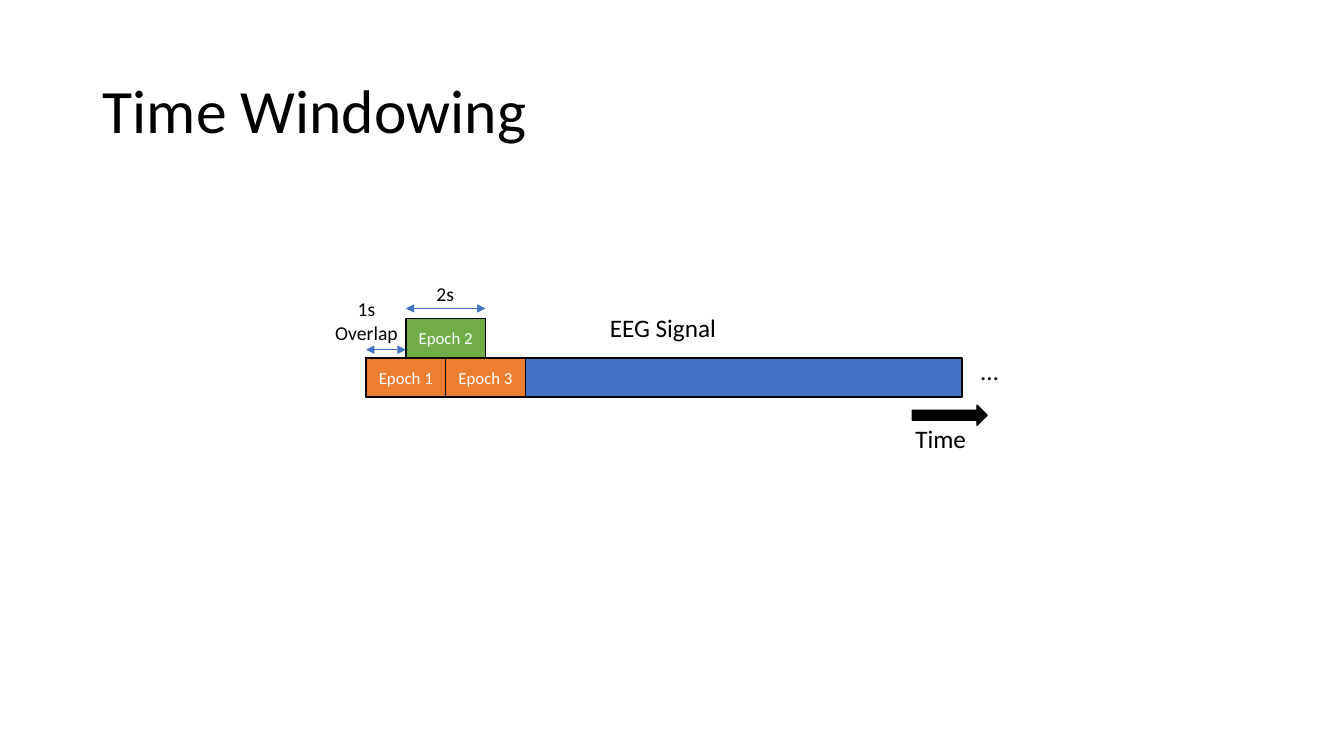
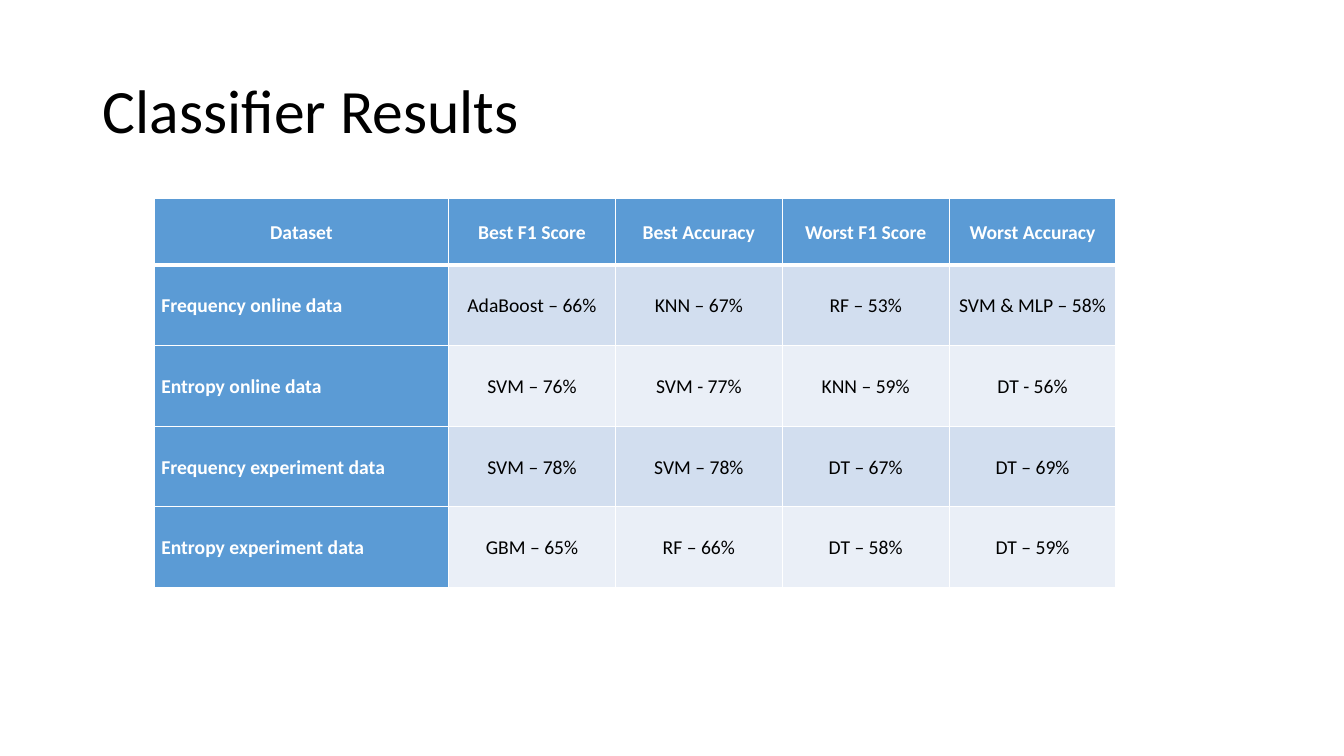
from lxml.etree import SubElement
from pptx import Presentation
from pptx.dml.color import RGBColor
from pptx.enum.shapes import MSO_CONNECTOR, MSO_SHAPE
from pptx.enum.text import MSO_ANCHOR, MSO_AUTO_SIZE, PP_ALIGN
from pptx.oxml import parse_xml
from pptx.oxml.ns import nsdecls, qn
from pptx.util import Inches, Pt

FONT = "Calibri"
BLACK, WHITE = "000000", "FFFFFF"
BLUE, ORANGE, GREEN = "4472C4", "ED7D31", "70AD47"
HEADER_BLUE = "5B9BD5"
BANDS = ["D2DEEF", "EAEFF7"]
TITLE_BOX = (0.92, 0.4, 11.5, 1.45)
SIGNAL_BOX = (3.63, 3.55, 5.91, 0.39)
TABLE_BOX = (1.53, 1.97, 9.54, 3.86)
EPOCH_WIDTH = 0.79
EPOCH_COUNT = 3
LABEL_COLUMN = 2.92
HEADER_HEIGHT = 0.66

RESULTS = [
    ["Dataset", "Best F1 Score", "Best Accuracy", "Worst F1 Score", "Worst Accuracy"],
    ["Frequency online data", "AdaBoost – 66%", "KNN – 67%", "RF – 53%", "SVM & MLP – 58%"],
    ["Entropy online data", "SVM – 76%", "SVM - 77%", "KNN – 59%", "DT - 56%"],
    ["Frequency experiment data", "SVM – 78%", "SVM – 78%", "DT – 67%", "DT – 69%"],
    ["Entropy experiment data", "GBM – 65%", "RF – 66%", "DT – 58%", "DT – 59%"],
]


def rgb(color):
    return RGBColor.from_string(color)


def inches(box):
    return [Inches(length) for length in box]


def write(frame, text, size, color=BLACK, align=PP_ALIGN.LEFT, bold=False, spacing=None):
    frame.text = text
    for para in frame.paragraphs:
        para.alignment = align
        para.line_spacing = spacing
        for span in para.runs:
            span.font.name = FONT
            span.font.size = Pt(size)
            span.font.bold = bold
            span.font.color.rgb = rgb(color)


def add_page(deck, title):
    page = deck.slides.add_slide(deck.slide_layouts[5])
    heading = page.shapes.title
    heading.left, heading.top, heading.width, heading.height = inches(TITLE_BOX)
    heading.text_frame.vertical_anchor = MSO_ANCHOR.MIDDLE
    write(heading.text_frame, title, 44, spacing=0.9)
    return page


def add_block(page, box, fill, text="", kind=MSO_SHAPE.RECTANGLE):
    block = page.shapes.add_shape(kind, *inches(box))
    block.shadow.inherit = False
    block.fill.solid()
    block.fill.fore_color.rgb = rgb(fill)
    block.line.color.rgb = rgb(BLACK)
    block.line.width = Pt(1)
    if text:
        block.text_frame.vertical_anchor = MSO_ANCHOR.MIDDLE
        write(block.text_frame, text, 12, WHITE, PP_ALIGN.CENTER)


def add_label(page, box, text, size=18, align=PP_ALIGN.LEFT, wrap=False):
    label = page.shapes.add_textbox(*inches(box))
    label.text_frame.word_wrap = wrap
    label.text_frame.auto_size = MSO_AUTO_SIZE.SHAPE_TO_FIT_TEXT
    write(label.text_frame, text, size, align=align)


def add_span_arrow(page, left, right, y):
    arrow = page.shapes.add_connector(MSO_CONNECTOR.STRAIGHT, *inches((left, y, right, y)))
    arrow.line.color.rgb = rgb(BLUE)
    arrow.line.width = Pt(0.5)
    properties = arrow.element.spPr
    line = properties.find(qn("a:ln"))
    for end in ("a:headEnd", "a:tailEnd"):
        SubElement(line, qn(end), type="triangle")
    SubElement(properties, qn("a:effectLst"))


def add_signal(page, box):
    left, top, width, height = box
    right = left + width
    step = EPOCH_WIDTH / 2
    add_block(page, box, BLUE)
    for index in range(EPOCH_COUNT):
        raised = index % 2
        epoch_box = (left + index * step, top - raised * height, EPOCH_WIDTH, height)
        add_block(page, epoch_box, GREEN if raised else ORANGE, f"Epoch {index + 1}")

    add_span_arrow(page, left + step, left + step + EPOCH_WIDTH, top - 0.49)
    add_label(page, (left + 0.24, top - 0.8, 1.09, 0.34), "2s", 14, PP_ALIGN.CENTER, True)
    add_span_arrow(page, left, left + step, top - 0.08)
    add_label(page, (left - 0.54, top - 0.65, 1.09, 0.57), "1s\nOverlap", 14, PP_ALIGN.CENTER, True)

    add_label(page, (left + 2.32, top - 0.5, 1.27, 0.4), "EEG Signal")
    add_label(page, (right + 0.09, top - 0.07, 0.38, 0.4), "…")
    add_block(page, (right - 0.49, top + 0.47, 0.74, 0.2), BLACK, kind=MSO_SHAPE.RIGHT_ARROW)
    add_label(page, (right - 0.56, top + 0.6, 0.71, 0.4), "Time")


def set_borders(cell, top, bottom):
    properties = cell._tc.get_or_add_tcPr()
    widths = {"lnL": 1, "lnR": 1, "lnT": top, "lnB": bottom}
    for position, (side, width) in enumerate(widths.items()):
        border = parse_xml(
            f'<a:{side} {nsdecls("a")} w="{Pt(width)}"><a:solidFill>'
            f'<a:srgbClr val="{WHITE}"/></a:solidFill></a:{side}>'
        )
        properties.insert(position, border)


def add_results(page, box):
    width, height = box[2:]
    row_count, column_count = len(RESULTS), len(RESULTS[0])
    table = page.shapes.add_table(row_count, column_count, *inches(box)).table
    value_column = (width - LABEL_COLUMN) / (column_count - 1)
    body_height = (height - HEADER_HEIGHT) / (row_count - 1)
    for index, column in enumerate(table.columns):
        column.width = Inches(value_column if index else LABEL_COLUMN)
    for r, values in enumerate(RESULTS):
        table.rows[r].height = Inches(body_height if r else HEADER_HEIGHT)
        for c, value in enumerate(values):
            cell = table.cell(r, c)
            heading = r == 0 or c == 0
            cell.fill.solid()
            cell.fill.fore_color.rgb = rgb(HEADER_BLUE if heading else BANDS[(r - 1) % 2])
            cell.vertical_anchor = MSO_ANCHOR.MIDDLE
            cell.margin_left = cell.margin_right = Inches(0.07)
            cell.margin_top = cell.margin_bottom = 0
            align = PP_ALIGN.LEFT if r and c == 0 else PP_ALIGN.CENTER
            write(cell.text_frame, value, 14, WHITE if heading else BLACK, align, heading, 1.07)
            set_borders(cell, top=3 if r == 1 else 1, bottom=1 if r else 3)


def main():
    deck = Presentation()
    deck.slide_width, deck.slide_height = Inches(13.33), Inches(7.5)
    add_signal(add_page(deck, "Time Windowing"), SIGNAL_BOX)
    add_results(add_page(deck, "Classifier Results"), TABLE_BOX)
    deck.save("out.pptx")


if __name__ == "__main__":
    main()
